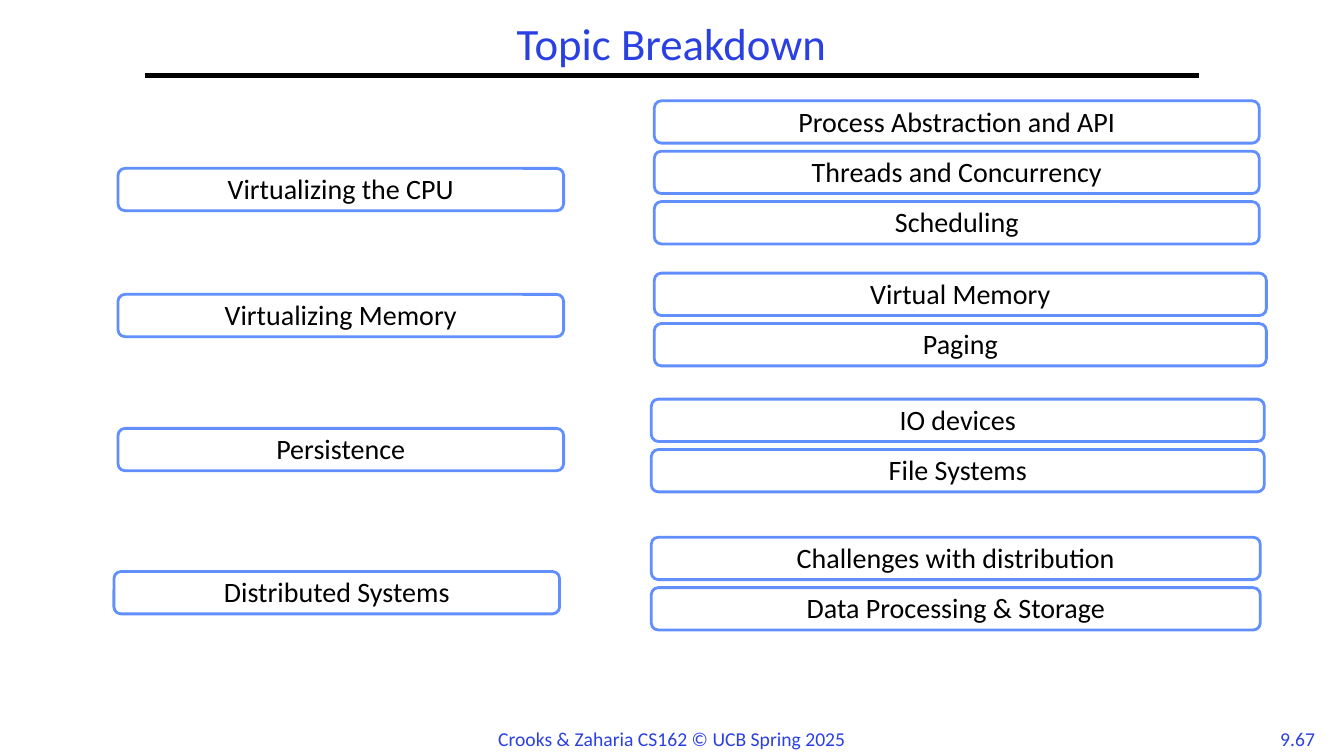
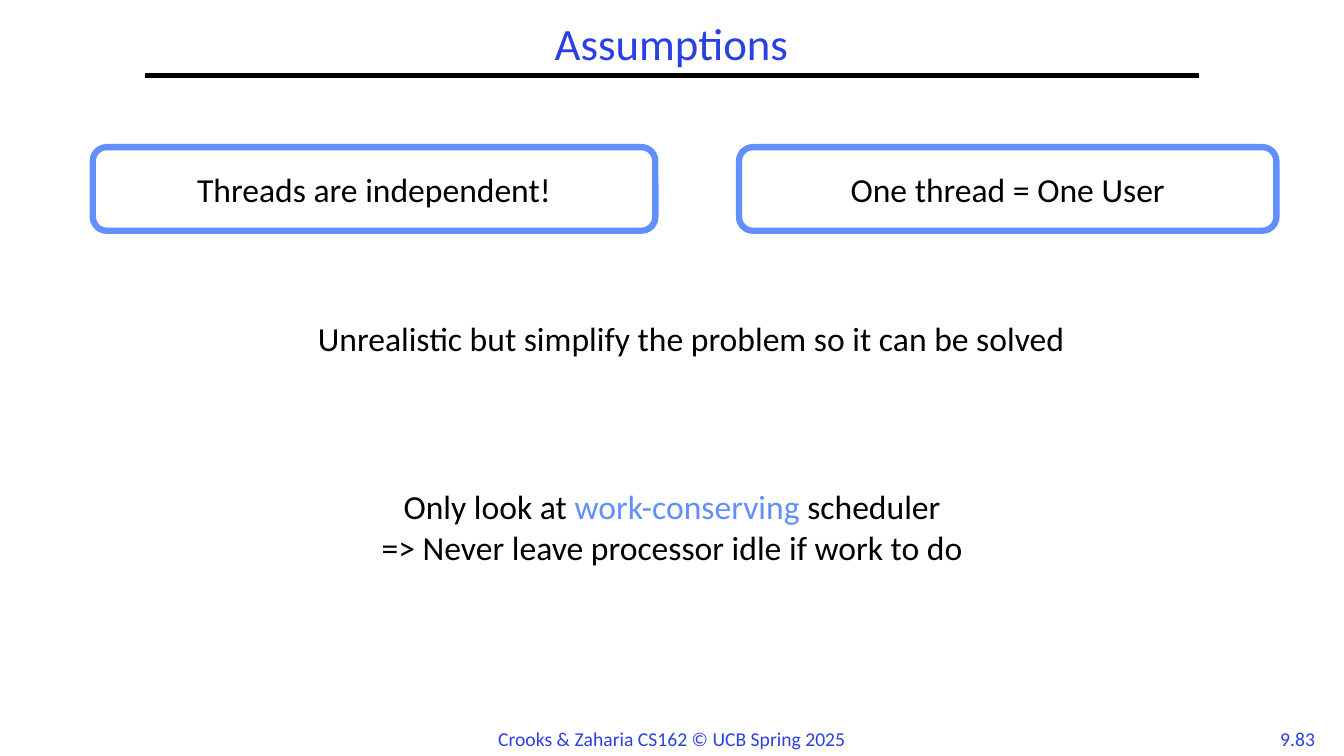
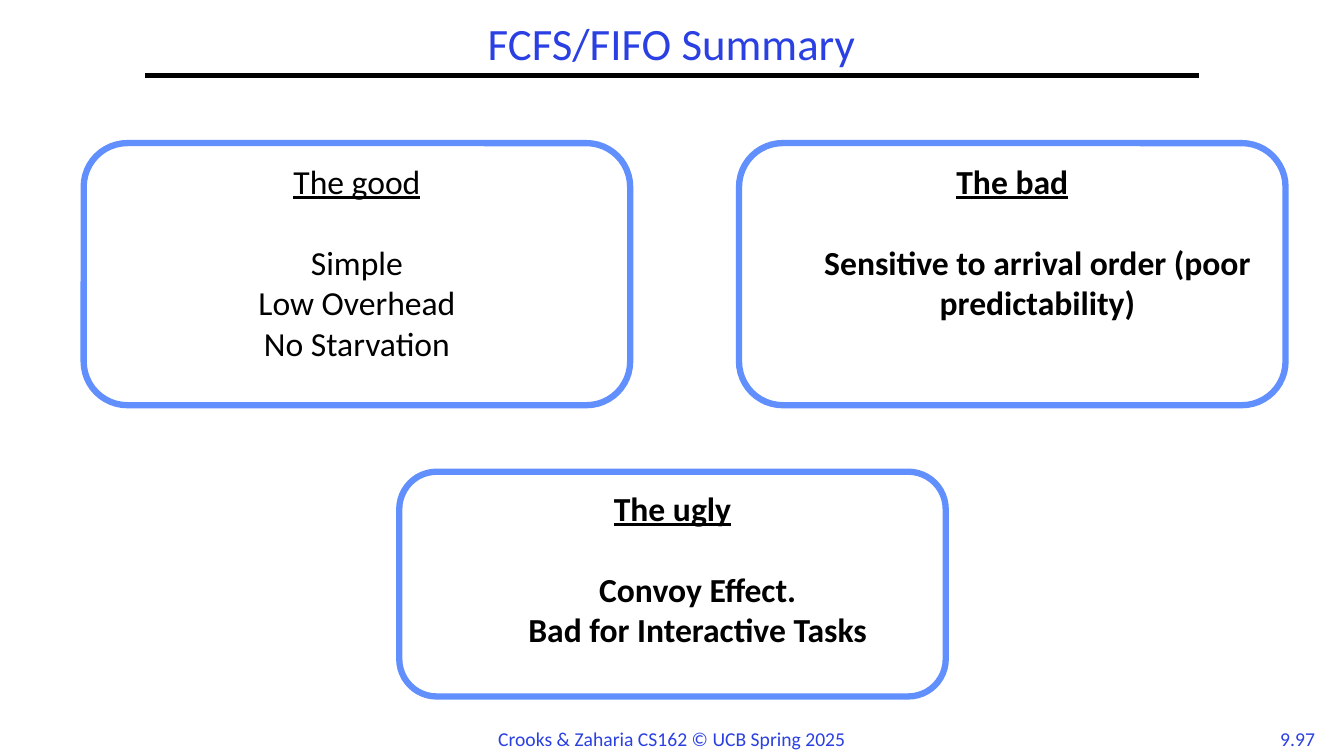
"""Builds three lecture slides on operating system scheduling."""
from lxml.etree import SubElement
from pptx import Presentation
from pptx.dml.color import RGBColor
from pptx.enum.shapes import MSO_CONNECTOR, MSO_SHAPE
from pptx.enum.text import MSO_ANCHOR as Anchor, MSO_AUTO_SIZE as AutoSize, PP_ALIGN as Align
from pptx.oxml.ns import qn
from pptx.util import Inches, Pt

BLACK = RGBColor(0x00, 0x00, 0x00)
WHITE = RGBColor(0xFF, 0xFF, 0xFF)
TITLE_BLUE = RGBColor(0x2A, 0x40, 0xE2)
BOX_BLUE = RGBColor(0x61, 0x8F, 0xFD)
FONT = "Calibri"
FOOTER = "Crooks & Zaharia CS162 © UCB Spring 2025"

TOPIC_WIDTH, TOPIC_HEIGHT, DETAIL_STEP = 4.42, 0.42, 0.5
TOPICS = [
    {"name": "Virtualizing the CPU", "at": (1.17, 1.67), "details_at": (6.49, 1), "width": 6,
     "details": ["Process Abstraction and API", "Threads and Concurrency", "Scheduling"]},
    {"name": "Virtualizing Memory", "at": (1.17, 2.92), "details_at": (6.49, 2.71), "width": 6.07,
     "details": ["Virtual Memory", "Paging"]},
    {"name": "Persistence", "at": (1.17, 4.25), "details_at": (6.46, 3.96), "width": 6.08,
     "details": ["IO devices", "File Systems"]},
    {"name": "Distributed Systems", "at": (1.13, 5.67), "details_at": (6.46, 5.33), "width": 6.04,
     "details": ["Challenges with distribution", "Data Processing & Storage"]},
]

ASSUMPTIONS = [
    ("Threads are independent!", (0.92, 1.46, 5.58, 0.83)),
    ("One thread = One User", (7.33, 1.46, 5.33, 0.83)),
]
REMARKS = [
    ((3, 3.17, 7.71, 0.92),
     [[("Unrealistic but simplify the problem so it can be solved", BLACK)]]),
    ((0.29, 4.83, 12.75, 0.92),
     [[("Only look at ", BLACK), ("work-conserving", BOX_BLUE), (" scheduler", BLACK)],
      [("=> Never leave processor idle if work to do", BLACK)]]),
]

VERDICTS = [
    ("The good", ["Simple", "Low Overhead", "No Starvation"], (0.83, 1.42, 5.42, 2.6), False),
    ("The bad", ["Sensitive to arrival order (poor predictability)"],
     (7.33, 1.42, 5.42, 2.6), True),
    ("The ugly", ["Convoy Effect.", "Bad for Interactive Tasks"],
     (3.96, 4.68, 5.42, 2.23), True),
]


def style(paragraph, size, color=None, bold=False):
    paragraph.alignment = Align.CENTER
    font = paragraph.font
    font.name, font.size, font.bold = FONT, Pt(size), bold
    if color is not None:
        font.color.rgb = color


def add_label(slide, text, box):
    label = slide.shapes.add_textbox(*map(Inches, box))
    frame = label.text_frame
    frame.word_wrap = False
    frame.auto_size = AutoSize.SHAPE_TO_FIT_TEXT
    frame.text = text
    style(frame.paragraphs[0], 14, TITLE_BLUE)


def add_slide(presentation, title, number):
    slide = presentation.slides.add_slide(presentation.slide_layouts[5])
    add_label(slide, number, (12.58, 7.16, 0.58, 0.33))
    rule = slide.shapes.add_connector(
        MSO_CONNECTOR.STRAIGHT, Inches(1.44), Inches(0.75), Inches(11.89), Inches(0.75))
    rule.line.color.rgb = BLACK
    rule.line.width = Pt(3)
    SubElement(rule._element.spPr, qn("a:effectLst"))
    add_label(slide, FOOTER, (4.83, 7.16, 3.67, 0.34))
    heading = slide.shapes.title
    heading.left, heading.top, heading.width, heading.height = map(
        Inches, (1.44, 0.17, 10.44, 0.58))
    frame = heading.text_frame
    frame.vertical_anchor = Anchor.MIDDLE
    frame.text = title
    style(frame.paragraphs[0], 32, TITLE_BLUE)
    frame.paragraphs[0].line_spacing = 0.9
    return slide


def add_box(slide, lines, box, size, line_width, anchor=Anchor.TOP, bold=False):
    shape = slide.shapes.add_shape(MSO_SHAPE.ROUNDED_RECTANGLE, *map(Inches, box))
    shape.shadow.inherit = False
    shape.fill.solid()
    shape.fill.fore_color.rgb = WHITE
    shape.line.color.rgb = BOX_BLUE
    shape.line.width = Pt(line_width)
    frame = shape.text_frame
    frame.word_wrap = True
    frame.vertical_anchor = anchor
    frame.text = "\n".join(lines)
    for paragraph in frame.paragraphs:
        style(paragraph, size, BLACK, bold)
    return frame.paragraphs


def add_topic_box(slide, text, left, top, width):
    paragraphs = add_box(slide, [text], (left, top, width, TOPIC_HEIGHT), 20, 2)
    paragraphs[0].line_spacing = 0.9


def build_topics(presentation):
    slide = add_slide(presentation, "Topic Breakdown", "9.67")
    for topic in TOPICS:
        add_topic_box(slide, topic["name"], *topic["at"], TOPIC_WIDTH)
        left, top = topic["details_at"]
        for row, detail in enumerate(topic["details"]):
            add_topic_box(slide, detail, left, top + row * DETAIL_STEP, topic["width"])


def build_assumptions(presentation):
    slide = add_slide(presentation, "Assumptions", "9.83")
    for text, box in ASSUMPTIONS:
        add_box(slide, [text], box, 24, 4.5, Anchor.MIDDLE)
    for box, lines in REMARKS:
        frame = slide.shapes.add_textbox(*map(Inches, box)).text_frame
        frame.word_wrap = True
        for index, runs in enumerate(lines):
            paragraph = frame.add_paragraph() if index else frame.paragraphs[0]
            style(paragraph, 24)
            paragraph.line_spacing = 0.85
            if index:
                paragraph.space_before = Pt(4.8)
            for text, color in runs:
                run = paragraph.add_run()
                run.text = text
                run.font.color.rgb = color


def build_summary(presentation):
    slide = add_slide(presentation, "FCFS/FIFO Summary", "9.97")
    for heading, points, box, emphasized in VERDICTS:
        first, *rest = add_box(slide, [heading, *points], box, 24, 4.5, bold=emphasized)
        first.font.underline = True
        first.space_after = Pt(29)
        if emphasized:
            for paragraph in rest:
                paragraph.level = 1
                properties = paragraph._p.get_or_add_pPr()
                properties.set("marL", str(Inches(0.5)))
                properties.set("indent", "0")


def main():
    presentation = Presentation()
    presentation.slide_width, presentation.slide_height = Inches(13.33), Inches(7.5)
    build_topics(presentation)
    build_assumptions(presentation)
    build_summary(presentation)
    presentation.save("out.pptx")


if __name__ == "__main__":
    main()
